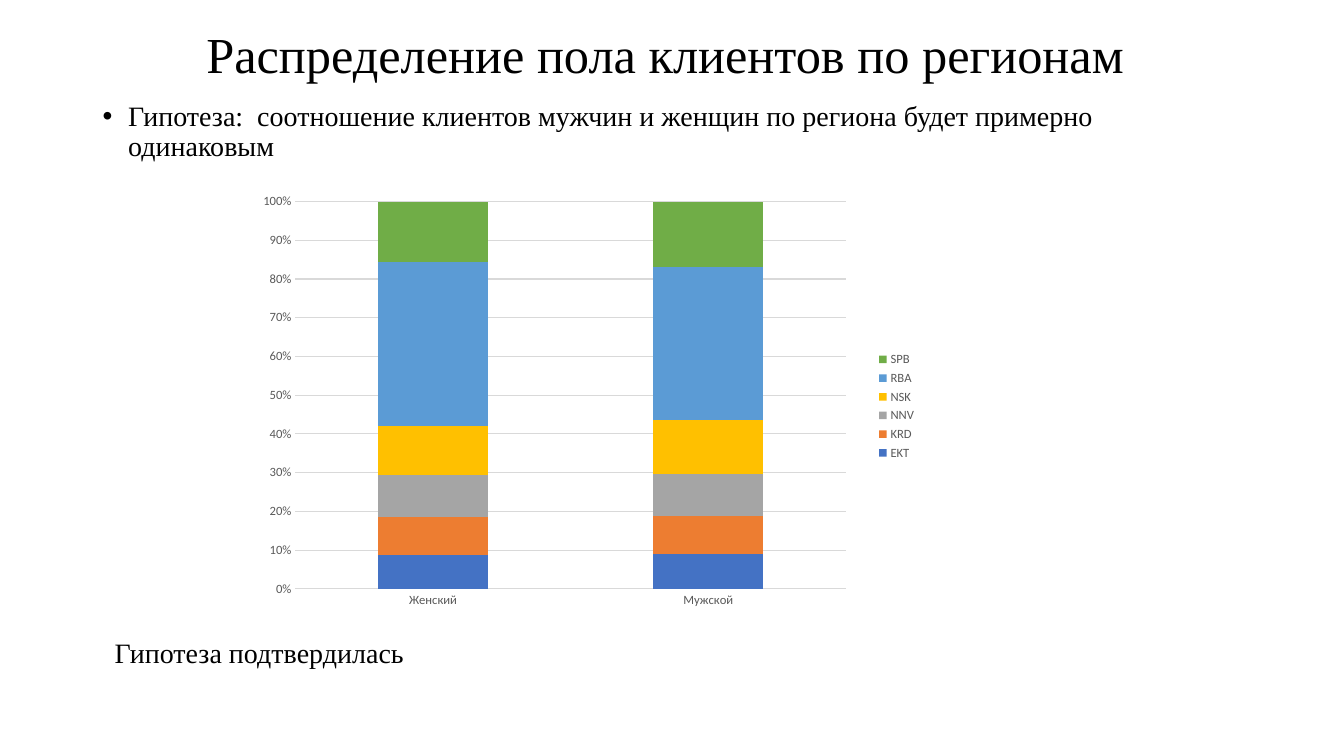
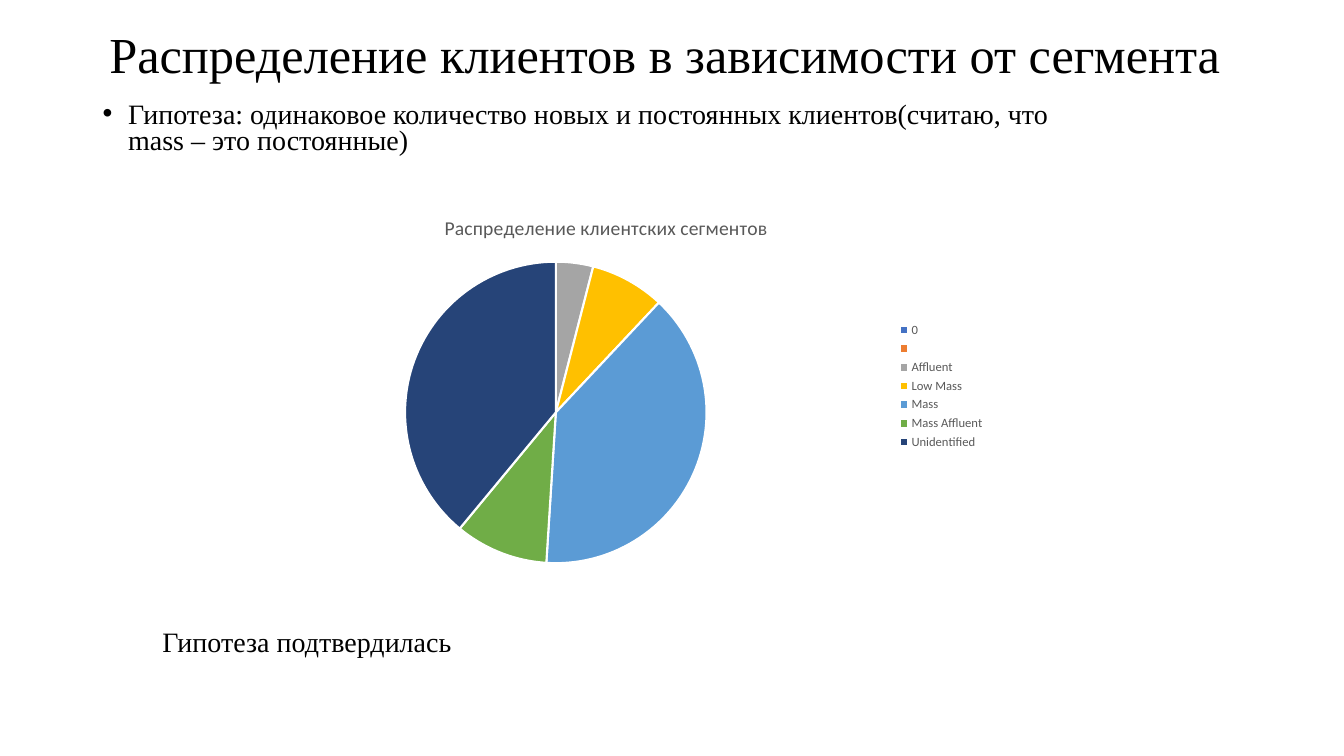
from lxml import etree
from pptx import Presentation
from pptx.chart.data import CategoryChartData
from pptx.dml.color import RGBColor
from pptx.enum.chart import XL_CHART_TYPE, XL_LEGEND_POSITION, XL_TICK_MARK
from pptx.enum.text import MSO_ANCHOR, PP_ALIGN
from pptx.oxml import parse_xml
from pptx.oxml.ns import nsdecls, qn
from pptx.util import Cm, Pt

STACKED = XL_CHART_TYPE.COLUMN_STACKED_100
PIE = XL_CHART_TYPE.PIE
LEGEND_RIGHT = XL_LEGEND_POSITION.RIGHT
NO_TICK = XL_TICK_MARK.NONE
TOP, MIDDLE = MSO_ANCHOR.TOP, MSO_ANCHOR.MIDDLE
LEFT, CENTER = PP_ALIGN.LEFT, PP_ALIGN.CENTER

TEXT_FONT, CHART_FONT = "Times New Roman", "Calibri"
BLACK, WHITE, GREY, GRID = "000000", "FFFFFF", "595959", "D9D9D9"
PALETTE = ["4472C4", "ED7D31", "A5A5A5", "FFC000", "5B9BD5", "70AD47", "264478"]
TITLE_BOX = (2.16, 0.43, 29.21, 2.03)
CONCLUSION = "Гипотеза подтвердилась"


def rgb(value):
    """Turn a hex string into a colour."""
    return RGBColor.from_string(value)


def style_font(font, name, size, color):
    """Set the face, size and colour of a font."""
    font.name, font.size, font.bold = name, Pt(size), False
    font.color.rgb = rgb(color)


def paint(fill, color):
    """Fill a chart part with a solid colour."""
    fill.solid()
    fill.fore_color.rgb = rgb(color)


def add_text(s, box, text, size=20, align=LEFT, anchor=TOP, spacing=0.9, before=10):
    """Add a one-paragraph text box and return its paragraph."""
    tf = s.shapes.add_textbox(*map(Cm, box)).text_frame
    tf.word_wrap = True
    tf.vertical_anchor = anchor
    p = tf.paragraphs[0]
    p.text = text
    p.alignment, p.line_spacing, p.space_before = align, spacing, Pt(before)
    style_font(p.runs[0].font, TEXT_FONT, size, BLACK)
    return p


def add_title(s, text):
    """Add the centred slide title."""
    add_text(s, TITLE_BOX, text, 36, CENTER, MIDDLE, before=0)


def add_hypothesis(s, box, text, spacing):
    """Add the bulleted hypothesis."""
    p = add_text(s, box, text, spacing=spacing)
    pPr = p._p.get_or_add_pPr()
    indent = Cm(0.64)
    pPr.set("marL", str(indent))
    pPr.set("indent", str(-indent))
    etree.SubElement(pPr, qn("a:buFont")).set("typeface", "Arial")
    etree.SubElement(pPr, qn("a:buChar")).set("char", "•")


def place_plot(chart, box):
    """Fix the inner plot area as fractions of the chart."""
    parts = "".join(f'<c:{tag} val="{value}"/>' for tag, value in zip("xywh", box))
    layout = parse_xml(
        f'<c:layout {nsdecls("c")}><c:manualLayout><c:layoutTarget val="inner"/>'
        f'<c:xMode val="edge"/><c:yMode val="edge"/>{parts}</c:manualLayout></c:layout>')
    plot_area = chart._chartSpace.chart.plotArea
    for old in plot_area.findall(qn("c:layout")):
        plot_area.remove(old)
    plot_area.insert(0, layout)


def add_chart(s, box, kind, categories, series, plot_box):
    """Add a chart with the shared font, legend and plot placement."""
    data = CategoryChartData()
    data.categories = categories
    for name, values in series:
        data.add_series(name, values)
    chart = s.shapes.add_chart(kind, *map(Cm, box), data).chart
    style_font(chart.font, CHART_FONT, 10, BLACK)
    chart.has_title = False
    chart.has_legend = True
    chart.legend.position = LEGEND_RIGHT
    chart.legend.include_in_layout = False
    style_font(chart.legend.font, CHART_FONT, 9, GREY)
    place_plot(chart, plot_box)
    return chart


def add_region_chart(s, box):
    """Add the stacked columns of regions by gender."""
    series = [("EKT", (9, 9)), ("KRD", (10, 10)), ("NNV", (11, 11)),
              ("NSK", (13, 14)), ("RBA", (43, 40)), ("SPB", (16, 17))]
    chart = add_chart(s, box, STACKED, ["Женский", "Мужской"], series,
                      (0.06, 0.03, 0.82, 0.89))
    plot = chart.plots[0]
    plot.gap_width, plot.overlap = 150, 100
    plot.vary_by_categories = False
    for region, color in zip(plot.series, PALETTE):
        paint(region.format.fill, color)
    for axis in (chart.category_axis, chart.value_axis):
        axis.major_tick_mark = axis.minor_tick_mark = NO_TICK
        axis.format.line.fill.background()
        style_font(axis.tick_labels.font, CHART_FONT, 9, GREY)
    axis = chart.value_axis
    axis.tick_labels.number_format = "0%"
    axis.tick_labels.number_format_is_linked = False
    axis.has_major_gridlines = True
    line = axis.major_gridlines.format.line
    line.color.rgb = rgb(GRID)
    line.width = Pt(0.75)


def add_segment_chart(s, box):
    """Add the pie of client segments."""
    shares = {"0": 0, "": 0, "Affluent": 4, "Low Mass": 8, "Mass": 39,
              "Mass Affluent": 10, "Unidentified": 39}
    chart = add_chart(s, box, PIE, list(shares), [("Series 1", list(shares.values()))],
                      (0.24, 0.17, 0.39, 0.8))
    chart.has_title = True
    tf = chart.chart_title.text_frame
    tf.text = "Распределение клиентских сегментов"
    style_font(tf.paragraphs[0].runs[0].font, CHART_FONT, 14, GREY)
    chart.plots[0].vary_by_categories = True
    for i, color in enumerate(PALETTE):
        sector = chart.plots[0].series[0].points[i].format
        paint(sector.fill, color)
        sector.line.color.rgb = rgb(WHITE)
        sector.line.width = Pt(1.5)


def build_slide(prs, title, hypothesis, spacing, body_box, chart, chart_box, end_box):
    """Build a slide with a hypothesis, a chart and a conclusion."""
    s = prs.slides.add_slide(prs.slide_layouts[6])
    add_title(s, title)
    chart(s, chart_box)
    add_hypothesis(s, body_box, hypothesis, spacing)
    add_text(s, end_box, CONCLUSION)


prs = Presentation()
prs.slide_width, prs.slide_height = Cm(33.87), Cm(19.05)
build_slide(
    prs, "Распределение пола клиентов по регионам",
    "Гипотеза:  соотношение клиентов мужчин и женщин по региона будет примерно одинаковым",
    0.9, (2.34, 2.46, 25.83, 2.03),
    add_region_chart, (6.43, 4.75, 16.92, 10.97), (2.64, 15.98, 25.83, 2.03))
build_slide(
    prs, "Распределение клиентов в зависимости от сегмента",
    "Гипотеза: одинаковое количество новых и постоянных клиентов(считаю, что mass – это постоянные)",
    0.8, (2.34, 2.46, 25.83, 1.8),
    add_segment_chart, (5.49, 4.98, 19.58, 9.5), (3.84, 15.7, 25.83, 1.8))
prs.save("out.pptx")
